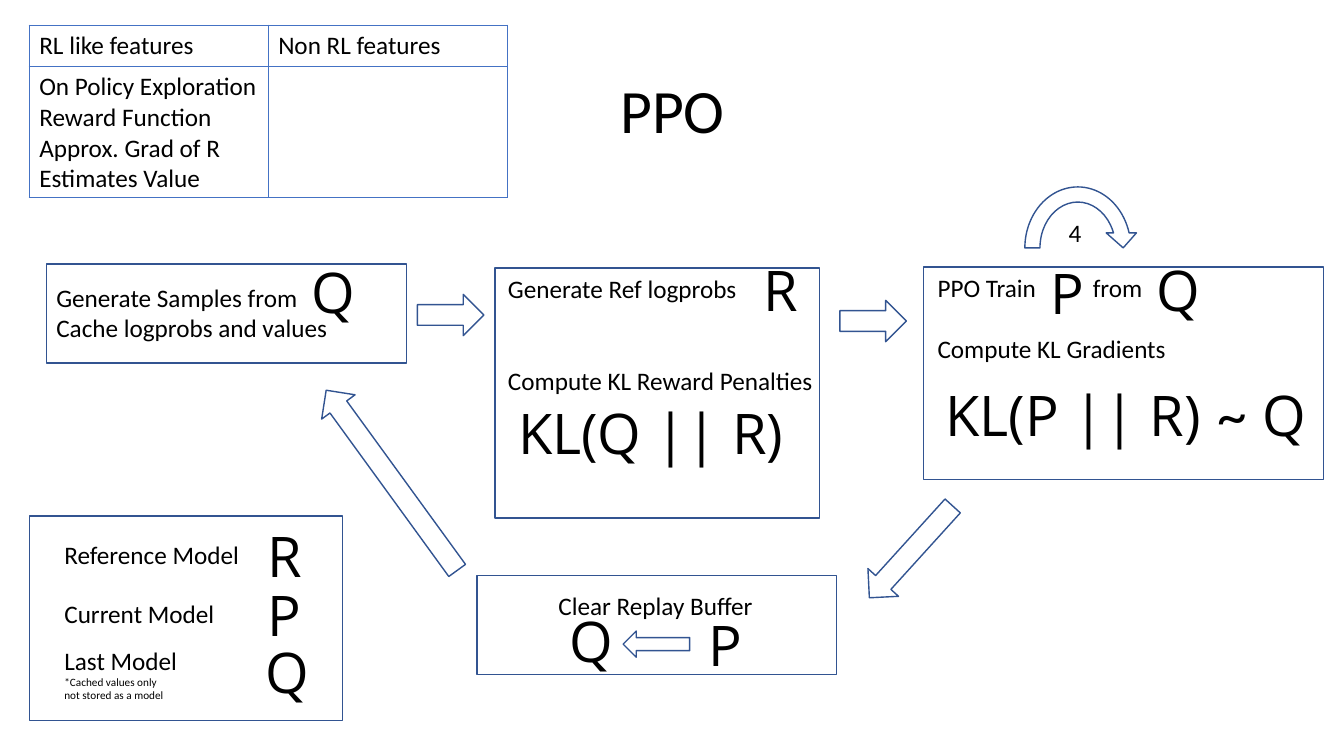
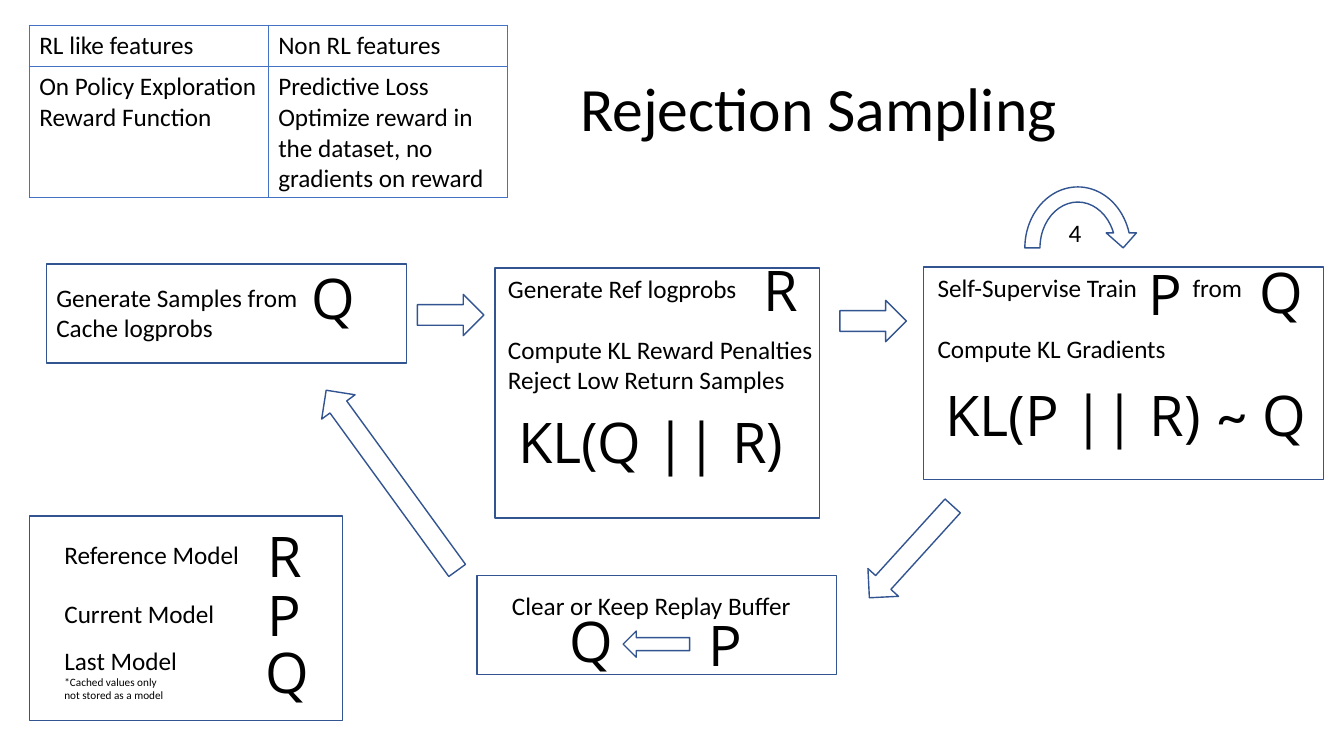
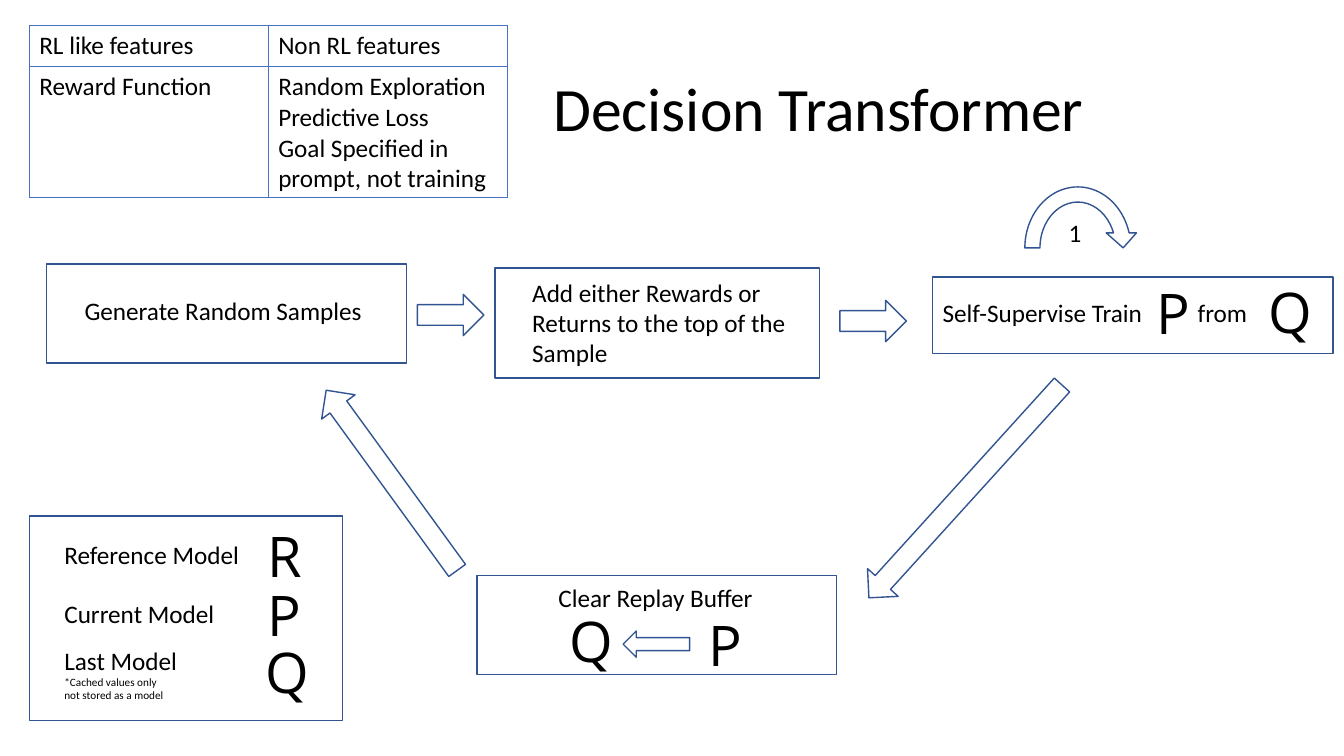
from pptx import Presentation
from pptx.dml.color import RGBColor
from pptx.enum.shapes import MSO_SHAPE
from pptx.enum.text import MSO_ANCHOR, PP_ALIGN
from pptx.oxml import parse_xml
from pptx.oxml.ns import nsdecls
from pptx.util import Inches, Pt

COLORS = {"ink": "000000", "line": "325491", "grid": "4472C4"}
BODY, MATH, TILDE = "Calibri", "Open Sans", "Lato"
ARROW = MSO_SHAPE.RIGHT_ARROW


def write(frame, text, size=18, font=BODY, gap=0):
    frame.text = text
    for i, para in enumerate(frame.paragraphs):
        if i == 1 and gap:
            para.space_before = Pt(gap)
        for run in para.runs:
            run.font.size = Pt(size)
            run.font.name = font
            run.font.color.rgb = RGBColor.from_string(COLORS["ink"])
    return frame


def draw(slide, kind, x, y, w, h, turn=0):
    shape = slide.shapes.add_shape(kind, Inches(x), Inches(y), Inches(w), Inches(h))
    shape.rotation = turn
    shape.shadow.inherit = False
    shape.fill.background()
    shape.line.color.rgb = RGBColor.from_string(COLORS["line"])
    shape.line.width = Pt(1)


shared_boxes = [
    (0.29, 5.12, 3.11, 2.03),
    (0.46, 2.62, 3.57, 0.98),
    (4.73, 5.71, 3.57, 0.98),
]
shared_arrows = [
    (4.14, 2.92, 0.66, 0.41, 0),
    (8.33, 2.98, 0.66, 0.41, 0),
    (2.78, 4.56, 2.21, 0.41, 234),
    (6.18, 6.26, 0.66, 0.26, 180),
]
shared_words = [
    (0.54, 5.3, 2.34, "Reference Model", 0),
    (0.54, 5.89, 2.34, "Current Model", 0),
    (0.54, 6.35, 2.34, "Last Model\n*Cached values only\nnot stored as a model", 0),
]
shared_marks = [
    ("R", 2.56, 5.12),
    ("P", 2.56, 5.71),
    ("Q", 2.54, 6.28),
    ("P", 6.93, 6.01),
    ("Q", 5.55, 5.97),
]
tall_boxes = [(4.91, 2.66, 3.22, 2.48), (9.16, 2.65, 3.97, 2.11)]
long_arrow = (8.42, 5.27, 1.23, 0.41, 132.2)

pages = [
    {
        "title": ("PPO", 0.92, 0.4),
        "cells": ("On Policy Exploration\nReward Function\nApprox. Grad of R\nEstimates Value", ""),
        "count": "4",
        "boxes": tall_boxes,
        "back": long_arrow,
        "words": [
            (0.46, 2.75, 2.92, "Generate Samples from\nCache logprobs and values", 0),
            (4.94, 2.66, 3.26, "Generate Ref logprobs\nCompute KL Reward Penalties", 44),
            (9.2, 2.65, 2.49, "PPO Train\nCompute KL Gradients", 22),
            (10.74, 2.65, 0.7, "from", 0),
            (5.44, 5.81, 2.15, "Clear Replay Buffer", 0),
        ],
        "marks": [("Q", 2.99, 2.51), ("R", 7.47, 2.49), ("P", 10.32, 2.52), ("Q", 11.37, 2.49)],
        "loss": 3.9,
    },
    {
        "title": ("Rejection Sampling", 2.37, 0.38),
        "cells": (
            "On Policy Exploration\nReward Function",
            "Predictive Loss\nOptimize reward in the dataset, no gradients on reward",
        ),
        "count": "4",
        "boxes": tall_boxes,
        "back": long_arrow,
        "words": [
            (0.46, 2.75, 2.62, "Generate Samples from\nCache logprobs", 0),
            (4.94, 2.66, 3.26, "Generate Ref logprobs\nCompute KL Reward Penalties\nReject Low Return Samples", 22),
            (9.2, 2.65, 2.49, "Self-Supervise Train\nCompute KL Gradients", 22),
            (11.73, 2.65, 0.7, "from", 0),
            (4.98, 5.81, 3.06, "Clear or Keep Replay Buffer", 0),
        ],
        "marks": [("Q", 2.99, 2.57), ("R", 7.47, 2.49), ("P", 11.29, 2.53), ("Q", 12.39, 2.51)],
        "loss": 3.99,
    },
    {
        "title": ("Decision Transformer", 2.37, 0.38),
        "cells": (
            "Reward Function",
            "Random Exploration\nPredictive Loss\nGoal Specified in prompt, not training",
        ),
        "count": "1",
        "boxes": [(4.91, 2.66, 3.22, 1.09), (9.25, 2.75, 3.97, 0.76)],
        "back": (8.15, 4.67, 2.85, 0.41, 132.2),
        "words": [
            (0.74, 2.88, 3.04, "Generate Random Samples", 0),
            (5.18, 2.7, 2.75, "Add either Rewards or\nReturns to the top of the\nSample", 0),
            (9.25, 2.9, 2.2, "Self-Supervise Train", 0),
            (11.78, 2.9, 0.7, "from", 0),
            (5.44, 5.73, 2.15, "Clear Replay Buffer", 0),
        ],
        "marks": [("P", 11.37, 2.71), ("Q", 12.48, 2.7)],
        "loss": None,
    },
]

deck = Presentation()
deck.slide_width, deck.slide_height = Inches(13.33), Inches(7.5)

for page in pages:
    slide = deck.slides.add_slide(deck.slide_layouts[5])
    name, left, top = page["title"]
    title = slide.shapes.title
    title.left, title.top = Inches(left), Inches(top)
    title.width, title.height = Inches(11.5), Inches(1.45)
    frame = write(title.text_frame, name, 44)
    frame.vertical_anchor = MSO_ANCHOR.MIDDLE
    frame.paragraphs[0].alignment = PP_ALIGN.CENTER
    frame.paragraphs[0].line_spacing = 0.9

    for box in shared_boxes + page["boxes"]:
        draw(slide, MSO_SHAPE.RECTANGLE, *box)
    for arrow in shared_arrows + [page["back"]]:
        draw(slide, ARROW, *arrow)
    draw(slide, MSO_SHAPE.CIRCULAR_ARROW, 10.09, 1.78, 1.2, 1.36)

    items = [(x, y, w, 0.4, text, 18, BODY, gap) for x, y, w, text, gap in shared_words + page["words"]]
    items += [(x, y, 0.66, 0.77, mark, 40, MATH, 0) for mark, x, y in shared_marks + page["marks"]]
    items.append((10.5, 2.11, 0.33, 0.4, page["count"], 18, BODY, 0))
    if page["loss"]:
        items.append((5.04, page["loss"], 2.94, 0.77, "KL(Q || R)", 40, MATH, 0))
        items.append((9.28, 3.73, 3.78, 0.77, "KL(P || R) ~ Q", 40, MATH, 0))
    for x, y, w, h, text, size, font, gap in items:
        area = slide.shapes.add_textbox(Inches(x), Inches(y), Inches(w), Inches(h))
        frame = write(area.text_frame, text, size, font, gap)
        frame.word_wrap = False
        if "~" in text:
            para = frame.paragraphs[0]
            para.runs[0].text = "KL(P || R) "
            for part, face in (("~ ", TILDE), ("Q", MATH)):
                run = para.add_run()
                run.text = part
                run.font.size = Pt(size)
                run.font.name = face
                run.font.color.rgb = RGBColor.from_string(COLORS["ink"])
        if text.startswith("Last"):
            for para in frame.paragraphs[1:]:
                para.runs[0].font.size = Pt(8)

    table = slide.shapes.add_table(2, 2, Inches(0.29), Inches(0.25), Inches(4.74), Inches(1.71)).table
    table.first_row = table.horz_banding = False
    table.rows[0].height, table.rows[1].height = Inches(0.41), Inches(1.3)
    for cell, text in zip(table.iter_cells(), ("RL like features", "Non RL features") + page["cells"]):
        write(cell.text_frame, text)
        props = cell._tc.get_or_add_tcPr()
        for side in ("lnL", "lnR", "lnT", "lnB"):
            props.append(parse_xml(
                f'<a:{side} {nsdecls("a")} w="12700"><a:solidFill>'
                f'<a:srgbClr val="{COLORS["grid"]}"/></a:solidFill></a:{side}>'
            ))
        cell.fill.background()

deck.save("out.pptx")
